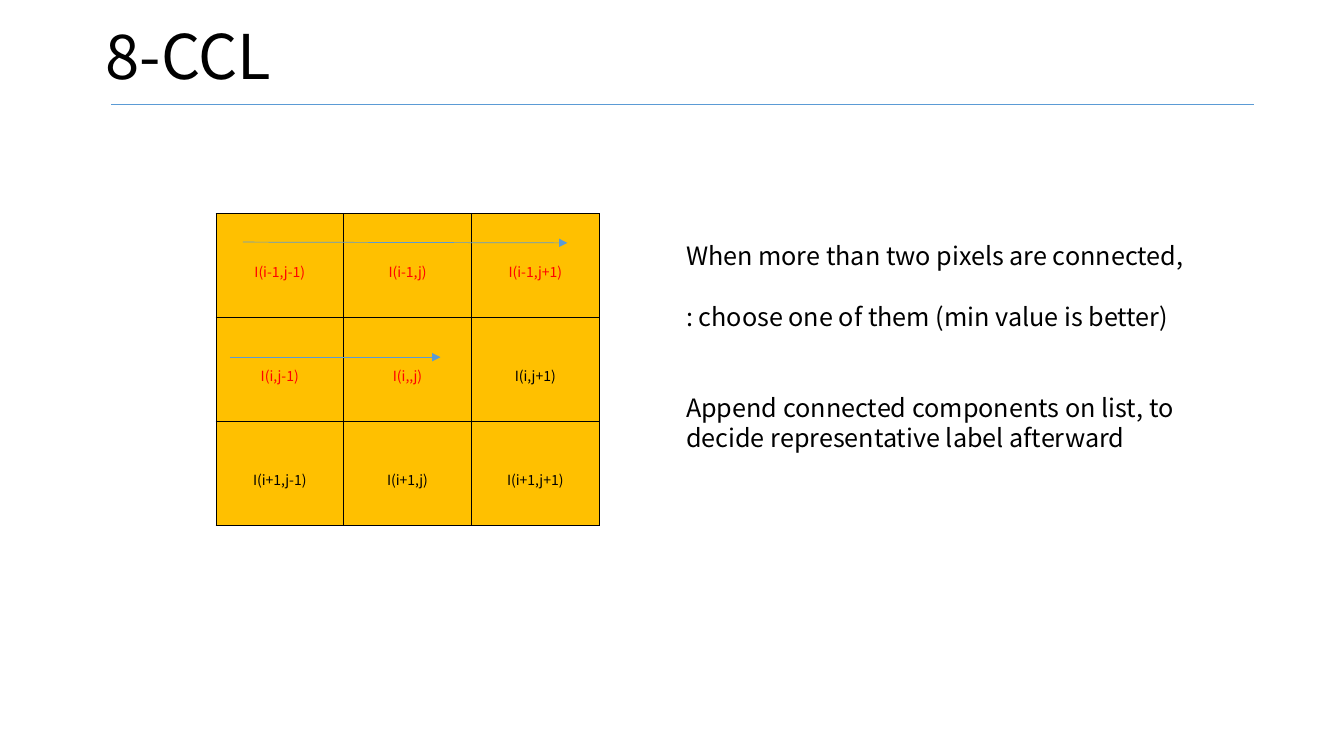
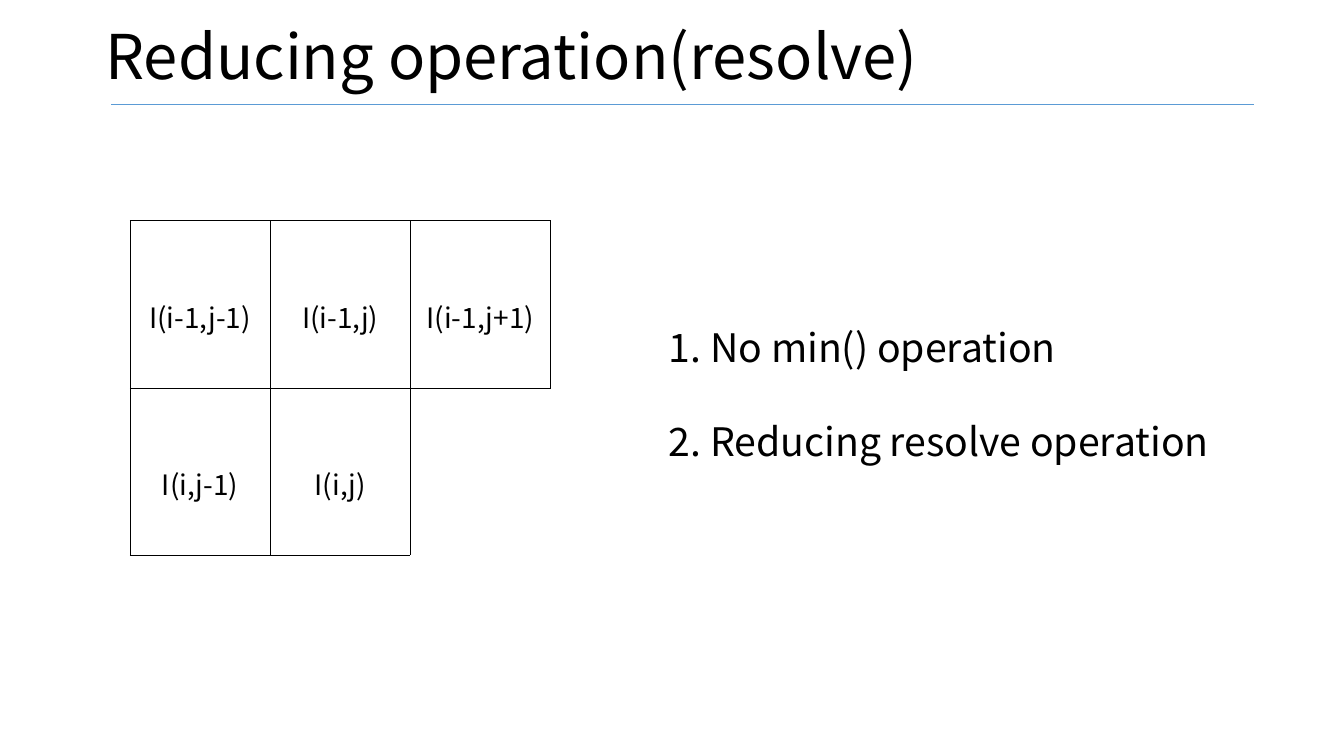
import pptx
import pptx.dml.color
import pptx.enum.shapes
import pptx.enum.text
import pptx.util
from lxml import etree
from pptx.oxml.ns import qn

Cm = pptx.util.Cm
Pt = pptx.util.Pt
RGBColor = pptx.dml.color.RGBColor
ALIGN = pptx.enum.text.PP_ALIGN
ANCHOR = pptx.enum.text.MSO_ANCHOR

BLACK = RGBColor(0x00, 0x00, 0x00)
RED = RGBColor(0xFF, 0x00, 0x00)
AMBER = RGBColor(0xFF, 0xC0, 0x00)
BLUE = RGBColor(0x5B, 0x9B, 0xD5)
FONT = "Noto Sans CJK KR"


def write(paragraph, text, size=18, color=BLACK, align=ALIGN.LEFT,
          line_spacing=None, space_before=0):
    paragraph.alignment = align
    paragraph.line_spacing = line_spacing
    paragraph.space_before = Pt(space_before)
    run = paragraph.add_run()
    run.text = text
    run.font.name = FONT
    run.font.size = Pt(size)
    run.font.color.rgb = color


def set_borders(cell, sides):
    """Draw a thin black border on the given sides (of "LRTB"), none on the rest."""
    properties = cell._tc.get_or_add_tcPr()
    for side in "LRTB":
        border = etree.SubElement(properties, qn(f"a:ln{side}"), w=str(Pt(0.28)))
        if side in sides:
            fill = etree.SubElement(border, qn("a:solidFill"))
            etree.SubElement(fill, qn("a:srgbClr"), val=str(BLACK))
        else:
            etree.SubElement(border, qn("a:noFill"))


class Deck:
    def __init__(self):
        self.presentation = pptx.Presentation()
        self.presentation.slide_width = Cm(33.87)
        self.presentation.slide_height = Cm(19.05)
        self.slide = None

    def add_slide(self, title):
        blank = self.presentation.slide_layouts[6]
        self.slide = self.presentation.slides.add_slide(blank)
        frame = self.text_frame(2.41, 0.38, 27.94, 2.26, ANCHOR.MIDDLE)
        write(frame.paragraphs[0], title, size=44, line_spacing=0.9)
        self.line((2.8, 2.64), (31.6, 2.64))

    def text_frame(self, left, top, width, height, anchor=ANCHOR.TOP):
        box = self.slide.shapes.add_textbox(Cm(left), Cm(top), Cm(width), Cm(height))
        box.text_frame.word_wrap = True
        box.text_frame.vertical_anchor = anchor
        return box.text_frame

    def remarks(self, left, top, width, height, lines, size):
        """Write lines given as (text, space before in points)."""
        frame = self.text_frame(left, top, width, height)
        for index, (text, gap) in enumerate(lines):
            paragraph = frame.add_paragraph() if index else frame.paragraphs[0]
            write(paragraph, text, size=size, space_before=gap)

    def line(self, start, end, arrow=False):
        connector = self.slide.shapes.add_connector(
            pptx.enum.shapes.MSO_CONNECTOR.STRAIGHT,
            *(Cm(length) for length in start + end))
        connector.line.color.rgb = BLUE
        connector.line.width = Pt(0.5)
        properties = connector._element.spPr
        if arrow:
            etree.SubElement(properties.find(qn("a:ln")), qn("a:tailEnd"),
                             type="triangle")
        etree.SubElement(properties, qn("a:effectLst"))

    def pixel_grid(self, left, top, cell_width, cell_height, rows, size,
                   fill=None, visited=0):
        """Draw a pixel neighbourhood; the first visited cells are red."""
        columns = len(rows[0])
        table = self.slide.shapes.add_table(
            len(rows), columns, Cm(left), Cm(top),
            Cm(cell_width * columns), Cm(cell_height * len(rows))).table
        table.first_row = table.horz_banding = False
        for column in table.columns:
            column.width = Cm(cell_width)
        for row in table.rows:
            row.height = Cm(cell_height)
        labels = [label for row in rows for label in row]
        for index, (cell, label) in enumerate(zip(table.iter_cells(), labels)):
            set_borders(cell, "LRTB" if label else "LT")
            if fill is None:
                cell.fill.background()
            else:
                cell.fill.solid()
                cell.fill.fore_color.rgb = fill
            cell.vertical_anchor = ANCHOR.MIDDLE
            cell.margin_left = cell.margin_right = Cm(0.18)
            cell.margin_top = cell.margin_bottom = Cm(0.05)
            if label:
                write(cell.text_frame.paragraphs[0], label, size=size,
                      color=RED if index < visited else BLACK,
                      align=ALIGN.CENTER, line_spacing=1.6)


def main():
    deck = Deck()

    deck.add_slide("8-CCL")
    deck.pixel_grid(5.44, 5.38, 3.22, 2.62, [
        ["I(i-1,j-1)", "I(i-1,j)", "I(i-1,j+1)"],
        ["I(i,j-1)", "I(i,,j)", "I(i,j+1)"],
        ["I(i+1,j-1)", "I(i+1,j)", "I(i+1,j+1)"],
    ], size=10, fill=AMBER, visited=5)
    deck.line((6.12, 6.1), (14.3, 6.12), arrow=True)
    deck.line((5.79, 9), (11.1, 9), arrow=True)
    deck.remarks(17.04, 5.94, 14.91, 5.64, [
        ("When more than two pixels are connected,", 0),
        (": choose one of them (min value is better)", 21.6),
        ("Append connected components on list, to decide "
         "representative label afterward", 43.2),
    ], size=18)

    deck.add_slide("Reducing operation(resolve)")
    deck.pixel_grid(3.28, 5.56, 3.53, 4.21, [
        ["I(i-1,j-1)", "I(i-1,j)", "I(i-1,j+1)"],
        ["I(i,j-1)", "I(i,j)", ""],
    ], size=20)
    deck.remarks(16.61, 8.03, 15, 3.84, [
        ("1. No min() operation", 0),
        ("2. Reducing resolve operation", 33.6),
    ], size=28)

    deck.presentation.save("out.pptx")


if __name__ == "__main__":
    main()
